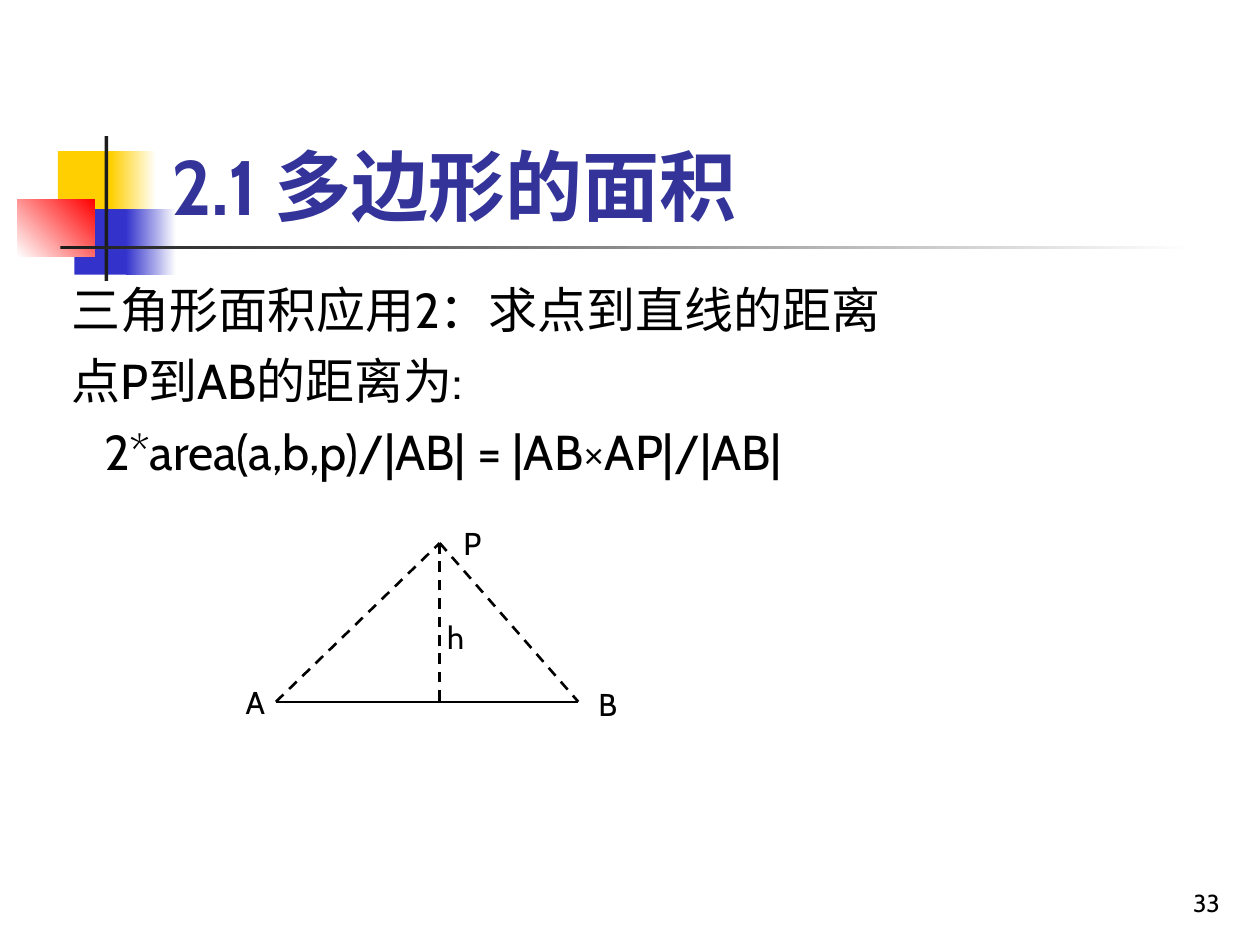
from pptx import Presentation
from pptx.dml.color import RGBColor
from pptx.enum.dml import MSO_LINE
from pptx.enum.shapes import MSO_CONNECTOR, MSO_SHAPE
from pptx.enum.text import MSO_ANCHOR, PP_ALIGN
from pptx.oxml.ns import qn
from pptx.util import Inches, Pt
from lxml import etree

FONT = "Cabin"
COLORS = {
    "yellow": "FFCF01",
    "blue": "3333CC",
    "red": "FF0000",
    "rule": "1C1C1C",
    "white": "FFFFFF",
    "title": "333399",
    "text": "000000",
}


def rgb(name):
    return RGBColor.from_string(COLORS[name])


def add_text(page, text, left, top, width, height, size=18, color="text", bold=False,
             align=PP_ALIGN.LEFT, anchor=MSO_ANCHOR.TOP, gap=0, indents=()):
    """Add a text box; each line of text becomes a paragraph."""
    box = page.shapes.add_textbox(Inches(left), Inches(top), Inches(width), Inches(height))
    frame = box.text_frame
    frame.word_wrap = True
    frame.vertical_anchor = anchor
    frame.text = text
    for index, para in enumerate(frame.paragraphs):
        para.alignment = align
        if index:
            para.space_before = Pt(gap)
        if index < len(indents) and indents[index]:
            properties = para._p.get_or_add_pPr()
            properties.set("marL", str(Inches(indents[index])))
            properties.set("indent", "0")
        for span in para.runs:
            span.font.name = FONT
            span.font.size = Pt(size)
            span.font.bold = bold
            span.font.color.rgb = rgb(color)
    return box


def add_block(page, left, top, width, height, start, end=None, angle=0):
    """Add a rectangle, solid or fading from start to end."""
    block = page.shapes.add_shape(MSO_SHAPE.RECTANGLE, Inches(left), Inches(top),
                                  Inches(width), Inches(height))
    block.shadow.inherit = False
    block.line.fill.background()
    if end is None:
        block.fill.solid()
        block.fill.fore_color.rgb = rgb(start)
        return
    block.fill.gradient()
    block.fill.gradient_angle = angle
    for stop, color in zip(block.fill.gradient_stops, (start, end)):
        stop.color.rgb = rgb(color)


def add_line(page, start, end, width=1.5, dashed=True):
    line = page.shapes.add_connector(MSO_CONNECTOR.STRAIGHT,
                                     *(Inches(value) for value in start + end))
    line.line.color.rgb = rgb("text")
    line.line.width = Pt(width)
    if dashed:
        line.line.dash_style = MSO_LINE.DASH
    etree.SubElement(line._element.spPr, qn("a:effectLst"))


def add_ornament(page, left, top):
    """Coloured squares, with the crossing rules under the title."""
    add_block(page, left + 0.32, top + 0.12, 0.48, 0.52, "yellow")
    add_block(page, left + 0.74, top + 0.12, 0.36, 0.52, "yellow", "white")
    add_block(page, left + 0.45, top + 0.58, 0.46, 0.52, "blue")
    add_block(page, left + 0.86, top + 0.58, 0.4, 0.52, "blue", "white")
    add_block(page, left, top + 0.5, 0.61, 0.46, "white", "red", angle=45)
    add_block(page, left + 0.69, top, 0.03, 1.15, "rule")
    add_block(page, left + 0.34, top + 0.87, 9, 0.03, "rule", "white")


def add_triangle(page, left, top, width, height):
    """Triangle ABP with its height h, in the box of its corners."""
    base = top + height
    a, b = (left, base), (left + width, base)
    p, foot = (left + 1.3, top), (left + 1.3, base)
    add_line(page, a, b, width=1.25, dashed=False)
    for start, end in ((p, foot), (a, p), (p, b)):
        add_line(page, start, end)

    # Labels, each offset from its point
    middle = (p[0], top + height / 2)
    labels = (("P", p, 0.09, -0.2), ("A", a, -0.34, -0.2),
              ("B", b, 0.06, -0.18), ("h", middle, -0.04, -0.08))
    for text, (x, y), shift_x, shift_y in labels:
        add_text(page, text, x + shift_x, y + shift_y, 0.28, 0.4)


def add_body(page, left, top, width, height):
    lines = ("三角形面积应用2：求点到直线的距离",
             "点P到AB的距离为:",
             "2*area(a,b,p)/|AB| = |AB×AP|/|AB|")
    add_text(page, "\n".join(lines), left, top, width, height, size=28, gap=7,
             indents=(0, 0, 0.26))


def main():
    deck = Presentation()
    deck.slide_width, deck.slide_height = Inches(10), Inches(7.5)
    page = deck.slides.add_slide(deck.slide_layouts[6])
    page.background.fill.solid()
    page.background.fill.fore_color.rgb = rgb("white")

    add_ornament(page, 0.14, 1.08)
    # Page number and title
    add_text(page, "33", 7.7, 6.83, 2.08, 0.5, size=14, align=PP_ALIGN.RIGHT,
             anchor=MSO_ANCHOR.BOTTOM)
    add_text(page, "2.1 多边形的面积", 1.26, 0.99, 8.52, 0.89, size=44, color="title",
             bold=True, anchor=MSO_ANCHOR.BOTTOM)
    add_body(page, 0.47, 2.17, 9.1, 1.77)
    add_triangle(page, 2.19, 4.31, 2.4, 1.26)
    deck.save("out.pptx")


if __name__ == "__main__":
    main()
